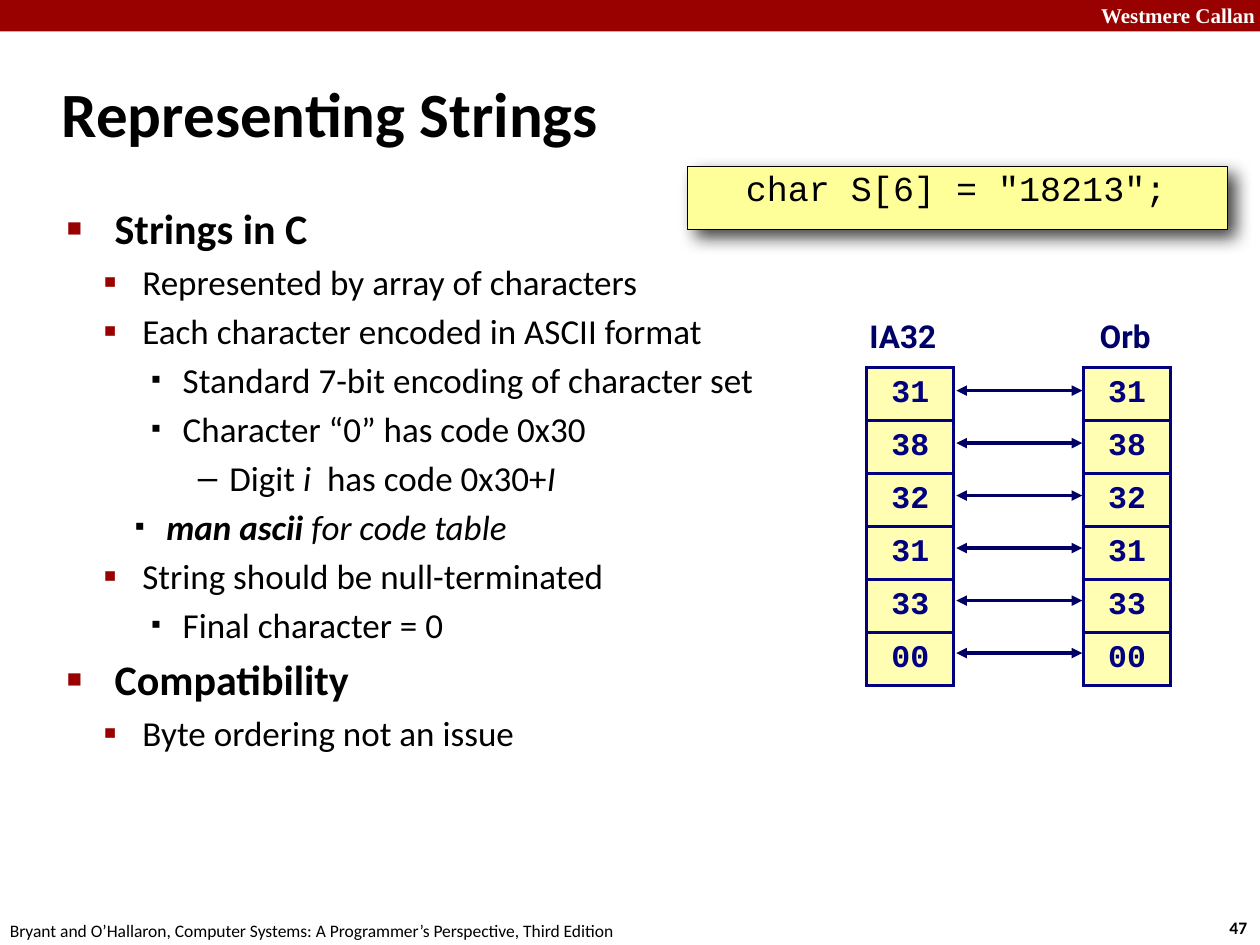
from lxml.etree import SubElement
from pptx import Presentation
from pptx.dml.color import RGBColor
from pptx.enum.shapes import MSO_CONNECTOR as Connector, MSO_SHAPE as Shape
from pptx.enum.text import MSO_ANCHOR as Anchor, MSO_AUTO_SIZE as AutoSize, PP_ALIGN as Align
from pptx.oxml.ns import qn
from pptx.util import Inches, Pt

BULLETS = {
    "topic": (0, 0.38, -0.38, "■", "990000", 60),
    "point": (1, 0.6, -0.31, "▪", "990000", 110),
    "detail": (2, 0.92, -0.25, "▪", "000000", 80),
    "command": (2, 0.79, -0.25, "▪", "000000", 80),
    "remark": (3, 1.29, -0.25, "–", "000000", 100),
}
OUTLINE = [
    ("topic", [("Strings in C", "")]),
    ("point", [("Represented by array of characters", "")]),
    ("point", [("Each character encoded in ASCII format", "")]),
    ("detail", [("Standard 7-bit encoding of character set", "")]),
    ("detail", [("Character “0” has code 0x30", "")]),
    ("remark", [("Digit ", ""), ("i", "i"), ("  has code 0x30+", ""), ("I", "i")]),
    ("command", [("man ascii", "bi"), (" for code table", "i")]),
    ("point", [("String should be null-terminated", "")]),
    ("detail", [("Final character = 0", "")]),
    ("topic", [("Compatibility", "")]),
    ("point", [("Byte ordering not an issue", "")]),
]
STRING_BYTES = ["31", "38", "32", "31", "33", "00"]
MACHINES = [("IA32", 6.84, 0.69, 6.88), ("Orb", 8.63, 0.64, 8.6)]
TABLE_TOP = 2.92
ROW_HEIGHT = 2.5 / len(STRING_BYTES)


def color(value):
    return RGBColor.from_string(value)


def add_xml(parent, tag, **attributes):
    return SubElement(parent, qn(tag), {key: str(value) for key, value in attributes.items()})


def add_xml_color(parent, value):
    return add_xml(parent, "a:srgbClr", val=value)


class SlideBuilder:
    body_font = "Calibri"
    code_font = "Courier New"
    ink = "000000"
    navy = "000066"
    border = "000080"

    def __init__(self, page):
        self.page = page

    def style(self, paragraph, size, bold=False, font=None, ink=None):
        paragraph.font.name = font or self.body_font
        paragraph.font.size = Pt(size)
        paragraph.font.bold = bold
        paragraph.font.color.rgb = color(ink or self.ink)

    def place(self, shape, left, top, width, height):
        shape.left, shape.top = Inches(left), Inches(top)
        shape.width, shape.height = Inches(width), Inches(height)

    def margins(self, target, left, top, right, bottom):
        target.margin_left, target.margin_top = Inches(left), Inches(top)
        target.margin_right, target.margin_bottom = Inches(right), Inches(bottom)

    def indent(self, paragraph, left, hanging):
        properties = paragraph._p.get_or_add_pPr()
        properties.set("marL", str(Inches(left)))
        properties.set("indent", str(Inches(hanging)))
        return properties

    def text(self, content, left, top, width, height, size, wrap=False, **style):
        box = self.page.shapes.add_textbox(*map(Inches, (left, top, width, height)))
        box.text_frame.word_wrap = wrap
        paragraph = box.text_frame.paragraphs[0]
        paragraph.text = content
        self.style(paragraph, size, **style)
        return box

    def rectangle(self, left, top, width, height, fill):
        shape = self.page.shapes.add_shape(
            Shape.RECTANGLE, *map(Inches, (left, top, width, height)))
        shape.shadow.inherit = False
        shape.fill.solid()
        shape.fill.fore_color.rgb = color(fill)
        shape.line.fill.background()
        return shape

    def code(self, content, left, top, width, height):
        shape = self.rectangle(left, top, width, height, "FFFF99")
        shape.line.color.rgb = color(self.ink)
        shape.line.width = Pt(0.5)
        effects = shape._element.spPr.find(qn("a:effectLst"))
        shadow = add_xml(effects, "a:outerShdw", blurRad=Pt(10), dist=Pt(6),
                         dir=45 * 60000, algn="tl", rotWithShape=0)
        add_xml(add_xml_color(shadow, self.ink), "a:alpha", val=75000)
        frame = shape.text_frame
        frame.vertical_anchor = Anchor.TOP
        self.margins(frame, 0.03, 0.03, 0.07, 0.03)
        paragraph = frame.paragraphs[0]
        paragraph.text = content
        paragraph.alignment = Align.CENTER
        paragraph.line_spacing = 0.95
        paragraph.space_before = Pt(11.5)
        self.indent(paragraph, 0.44, -0.42)
        self.style(paragraph, 20, font=self.code_font)

    def title(self, content, left, top, width, height):
        title = self.page.shapes.title
        self.place(title, left, top, width, height)
        frame = title.text_frame
        frame.text = content
        frame.auto_size = AutoSize.NONE
        frame.vertical_anchor = Anchor.MIDDLE
        paragraph = frame.paragraphs[0]
        paragraph.alignment = Align.LEFT
        self.indent(paragraph, 0.13, -0.13)
        self.style(paragraph, 36, bold=True)

    def outline(self, items, left, top, width, height):
        body = self.page.placeholders[1]
        self.place(body, left, top, width, height)
        frame = body.text_frame
        frame.auto_size = AutoSize.NONE
        for index, (kind, spans) in enumerate(items):
            paragraph = frame.add_paragraph() if index else frame.paragraphs[0]
            level, indent, hanging, symbol, ink, percent = BULLETS[kind]
            size = 20 if level else 24
            paragraph.level = level
            paragraph.space_before = Pt(size * 0.2)
            properties = self.indent(paragraph, indent, hanging)
            add_xml_color(add_xml(properties, "a:buClr"), ink)
            add_xml(properties, "a:buSzPct", val=percent * 1000)
            add_xml(properties, "a:buFont", typeface="Arial")
            add_xml(properties, "a:buChar", char=symbol)
            self.style(paragraph, size, bold=level == 0)
            for content, emphasis in spans:
                span = paragraph.add_run()
                span.text = content
                if "b" in emphasis:
                    span.font.bold = True
                if "i" in emphasis:
                    span.font.italic = True

    def arrow(self, start, end, height):
        line = self.page.shapes.add_connector(
            Connector.STRAIGHT, Inches(start), Inches(height), Inches(end), Inches(height))
        line.line.color.rgb = color(self.navy)
        line.line.width = Pt(2)
        outline = line.line._get_or_add_ln()
        add_xml(outline, "a:headEnd", type="triangle")
        add_xml(outline, "a:tailEnd", type="triangle")
        add_xml(line._element.spPr, "a:effectLst")

    def byte_table(self, values, left, top, width, row_height):
        table = self.page.shapes.add_table(
            len(values), 1, Inches(left), Inches(top),
            Inches(width), Inches(row_height * len(values))).table
        table.first_row = table.horz_banding = False
        for row, value in enumerate(values):
            table.rows[row].height = Inches(row_height)
            cell = table.cell(row, 0)
            self.margins(cell, 0.06, 0.06, 0.06, 0.06)
            cell.vertical_anchor = Anchor.MIDDLE
            for side in ("a:lnL", "a:lnR", "a:lnT", "a:lnB"):
                edge = add_xml(cell._tc.get_or_add_tcPr(), side, w=Pt(2))
                add_xml_color(add_xml(edge, "a:solidFill"), self.border)
            cell.fill.solid()
            cell.fill.fore_color.rgb = color("FFFEB2")
            paragraph = cell.text_frame.paragraphs[0]
            paragraph.text = value
            paragraph.alignment = Align.CENTER
            self.style(paragraph, 18, bold=True, font=self.code_font, ink=self.border)


def main():
    deck = Presentation()
    deck.slide_width, deck.slide_height = Inches(10), Inches(7.5)
    builder = SlideBuilder(deck.slides.add_slide(deck.slide_layouts[1]))
    builder.rectangle(0, 0, 10, 0.25, "990000")
    builder.text("Westmere Callan", 8.64, -0.03, 1.43, 0.3, 12, wrap=True,
                 bold=True, font="Times New Roman", ink="FFFFFF")
    builder.text("47", 9.66, 7.23, 0.37, 0.27, 10, bold=True)
    builder.text("Bryant and O’Hallaron, Computer Systems: A Programmer’s Perspective, Third Edition",
                 -0.02, 7.25, 5.08, 0.27, 10)
    builder.code('char S[6] = "18213";', 5.46, 1.32, 4.28, 0.5)
    builder.title("Representing Strings", 0.39, 0.48, 8.3, 0.83)
    builder.outline(OUTLINE, 0.43, 1.56, 8.64, 5.44)
    for row in range(len(STRING_BYTES)):
        builder.arrow(7.59, 8.59, 3.1 + row * ROW_HEIGHT)
    for name, label_left, label_width, table_left in MACHINES:
        label = builder.text(name, label_left, 2.46, label_width, 0.42, 18,
                             bold=True, font="Roboto", ink=builder.navy)
        builder.margins(label.text_frame, 0.06, 0.06, 0.1, 0.06)
        label.text_frame.paragraphs[0].alignment = Align.CENTER
        builder.byte_table(STRING_BYTES, table_left, TABLE_TOP, 0.69, ROW_HEIGHT)
    deck.save("out.pptx")


if __name__ == "__main__":
    main()
